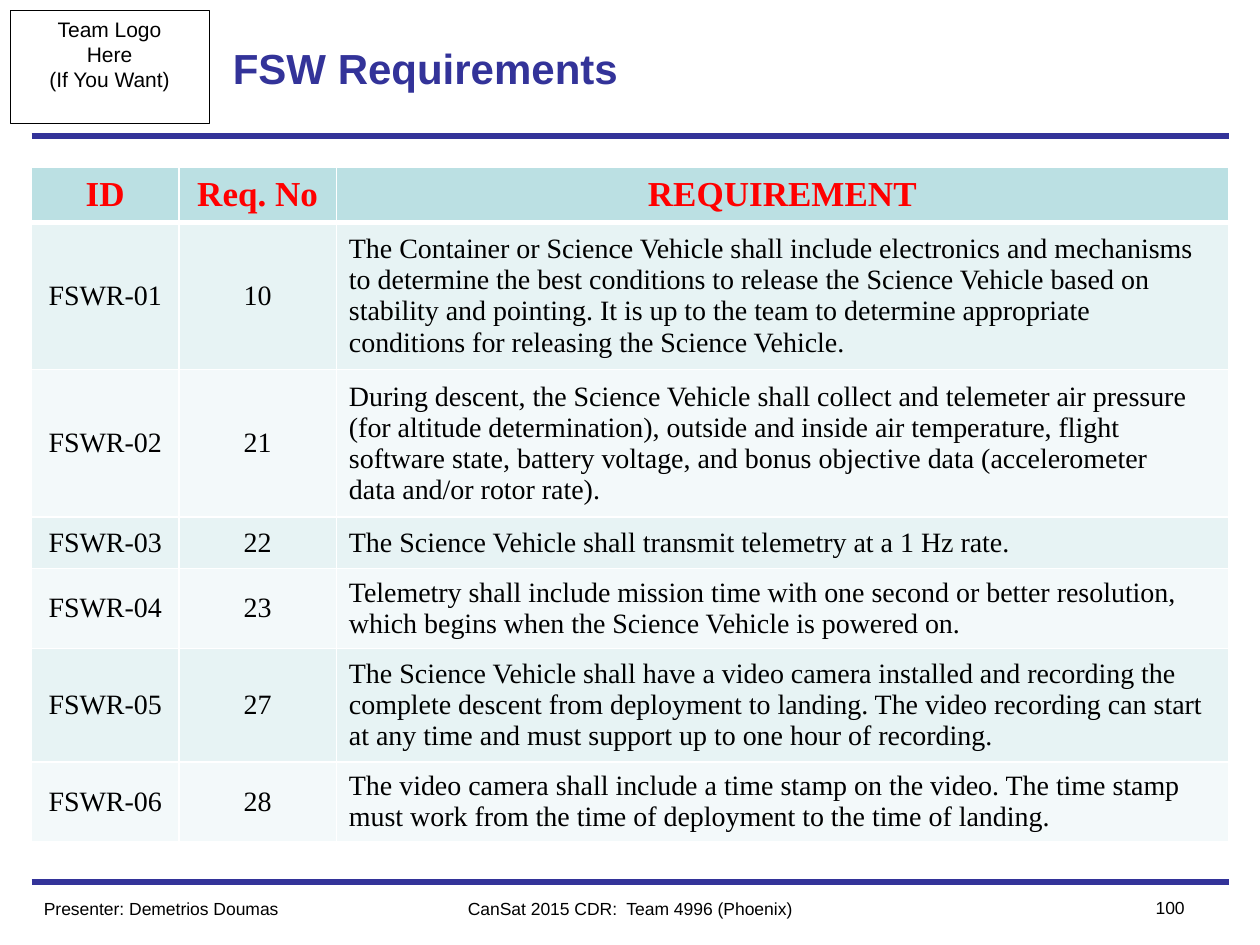
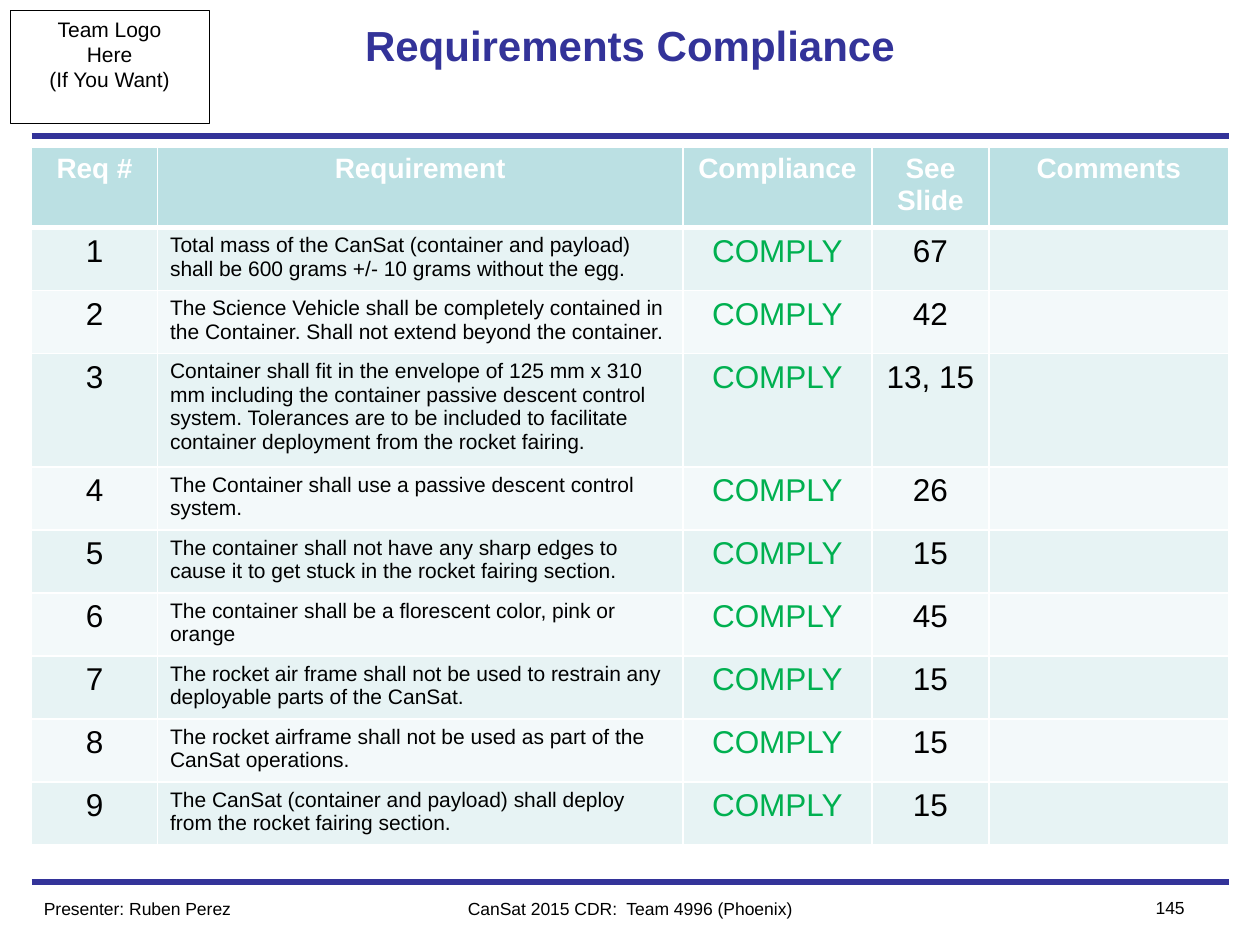
from lxml import etree
from pptx import Presentation
from pptx.dml.color import RGBColor
from pptx.enum import shapes, text
from pptx.oxml.ns import qn
from pptx.util import Inches, Pt

COLORS = {
    "navy": "333399", "black": "000000", "white": "FFFFFF", "red": "FF0000",
    "green": "00B050", "header": "BBE0E3", "odd": "E7F3F4", "even": "F3F9FA",
}
LEFT, WIDTH = 0.25, 9.5
CENTER, RIGHT = text.PP_ALIGN.CENTER, text.PP_ALIGN.RIGHT
MIDDLE, TOP = text.MSO_ANCHOR.MIDDLE, text.MSO_ANCHOR.TOP

FSW_ROWS = [
    ("FSWR-01", "10",
     "The Container or Science Vehicle shall include electronics and mechanisms\n"
     "to determine the best conditions to release the Science Vehicle based on\n"
     "stability and pointing. It is up to the team to determine appropriate\n"
     "conditions for releasing the Science Vehicle."),
    ("FSWR-02", "21",
     "During descent, the Science Vehicle shall collect and telemeter air pressure\n"
     "(for altitude determination), outside and inside air temperature, flight\n"
     "software state, battery voltage, and bonus objective data (accelerometer\n"
     "data and/or rotor rate)."),
    ("FSWR-03", "22",
     "The Science Vehicle shall transmit telemetry at a 1 Hz rate."),
    ("FSWR-04", "23",
     "Telemetry shall include mission time with one second or better resolution,\n"
     "which begins when the Science Vehicle is powered on."),
    ("FSWR-05", "27",
     "The Science Vehicle shall have a video camera installed and recording the\n"
     "complete descent from deployment to landing. The video recording can start\n"
     "at any time and must support up to one hour of recording."),
    ("FSWR-06", "28",
     "The video camera shall include a time stamp on the video. The time stamp\n"
     "must work from the time of deployment to the time of landing."),
]

# Requirement and the slides that show compliance
COMPLIANCE = [
    ("Total mass of the CanSat (container and payload) shall be 600 grams "
     "+/- 10 grams without the egg.", "67"),
    ("The Science Vehicle shall be completely contained in the Container. "
     "Shall not extend beyond the container.", "42"),
    ("Container shall fit in the envelope of 125 mm x 310 mm including the "
     "container passive descent control system. Tolerances are to be included "
     "to facilitate container deployment from the rocket fairing.", "13, 15"),
    ("The Container shall use a passive descent control system.", "26"),
    ("The container shall not have any sharp edges to cause it to get stuck "
     "in the rocket fairing section.", "15"),
    ("The container shall be a florescent color, pink or orange", "45"),
    ("The rocket air frame shall not be used to restrain any deployable parts "
     "of the CanSat.", "15"),
    ("The rocket airframe shall not be used as part of the CanSat operations.",
     "15"),
    ("The CanSat (container and payload) shall deploy from the rocket fairing "
     "section.", "15"),
]


def rgb(name):
    return RGBColor.from_string(COLORS[name])


def write(tf, content, size=10, color="black", font="Arial", bold=False,
          align=None, anchor=TOP, wrap=True):
    """Fill a text frame, one paragraph per line of content."""
    tf.word_wrap = wrap
    tf.vertical_anchor = anchor
    for i, line in enumerate(content.split("\n")):
        p = tf.paragraphs[0] if i == 0 else tf.add_paragraph()
        p.alignment = align
        r = p.add_run()
        r.text = line
        r.font.name, r.font.size, r.font.bold = font, Pt(size), bold
        r.font.color.rgb = rgb(color)


def add_text(slide, box, content, **fmt):
    sp = slide.shapes.add_textbox(*map(Inches, box))
    write(sp.text_frame, content, **fmt)


def add_rule(slide, y):
    line = slide.shapes.add_connector(
        shapes.MSO_CONNECTOR.STRAIGHT, Inches(LEFT), Inches(y),
        Inches(LEFT + WIDTH), Inches(y))
    line.line.color.rgb = rgb("navy")
    line.line.width = Pt(3)
    etree.SubElement(line._element.spPr, qn("a:effectLst"))


def add_logo_box(slide, box):
    sp = slide.shapes.add_shape(shapes.MSO_SHAPE.RECTANGLE, *map(Inches, box))
    sp.shadow.inherit = False
    sp.fill.background()
    sp.line.color.rgb = rgb("black")
    sp.line.width = Pt(0.5)
    write(sp.text_frame, "Team Logo\nHere\n(If You Want)", size=12,
          align=CENTER, wrap=False)


def add_frame(prs, title, title_box, presenter, number, align=None):
    """Start a slide with its rules, logo box, title and footer."""
    slide = prs.slides.add_slide(prs.slide_layouts[6])
    add_rule(slide, 7)
    add_rule(slide, 1.08)
    add_logo_box(slide, (0.08, 0.08, 1.58, 0.9))
    add_text(slide, title_box, title, size=24, color="navy", bold=True,
             align=align, anchor=MIDDLE)
    # Footer
    add_text(slide, (3, 7.08, 4, 0.27), "CanSat 2015 CDR:  Team 4996 (Phoenix)",
             align=CENTER)
    add_text(slide, (8.75, 7.07, 0.75, 0.27), number, align=RIGHT)
    add_text(slide, (LEFT, 7.08, 2.5, 0.27), f"Presenter: {presenter}")
    return slide


def set_borders(cell, top, bottom):
    tc_pr = cell._tc.get_or_add_tcPr()
    for tag, points in (("lnL", 1), ("lnR", 1), ("lnT", top), ("lnB", bottom)):
        ln = etree.SubElement(tc_pr, qn(f"a:{tag}"), w=str(Pt(points)))
        fill = etree.SubElement(ln, qn("a:solidFill"))
        etree.SubElement(fill, qn("a:srgbClr"), val=COLORS["white"])


def add_grid(slide, top, widths, heights, header, rows, header_fmt, column_fmts):
    """Banded table: one format for the header, one for each body column."""
    frame = slide.shapes.add_table(
        len(heights), len(widths), Inches(LEFT), Inches(top),
        Inches(sum(widths)), Inches(sum(heights)))
    table = frame.table
    table.horz_banding = False
    for column, width in zip(table.columns, widths):
        column.width = Inches(width)
    for i, (height, values) in enumerate(zip(heights, [header, *rows])):
        table.rows[i].height = Inches(height)
        band = "header" if i == 0 else "odd" if i % 2 else "even"
        for j, value in enumerate(values):
            cell = table.cell(i, j)
            set_borders(cell, top=3 if i == 1 else 1, bottom=3 if i == 0 else 1)
            cell.fill.solid()
            cell.fill.fore_color.rgb = rgb(band)
            if value:
                fmt = column_fmts[j] if i else header_fmt
                write(cell.text_frame, value, **fmt)
                cell.vertical_anchor = fmt.get("anchor", TOP)


def fsw_slide(prs):
    slide = add_frame(prs, "FSW Requirements", (1.75, 0.08, 6.5, 0.92),
                      "Demetrios Doumas", "100")
    body = dict(size=16, font="Times New Roman", anchor=MIDDLE)
    centered = dict(body, align=CENTER)
    add_grid(slide, 1.33, [1.17, 1.25, 7.08],
             [0.43, 1.17, 1.17, 0.41, 0.63, 0.9, 0.63],
             ("ID", "Req. No", "REQUIREMENT"), FSW_ROWS,
             dict(centered, size=20, color="red", bold=True),
             [centered, centered, body])


def compliance_slide(prs):
    slide = add_frame(prs, "Requirements Compliance", (1.75, 0.08, 6.5, 0.55),
                      "Ruben Perez", "145", align=CENTER)
    rows = [(str(n), requirement, "COMPLY", pages, "")
            for n, (requirement, pages) in enumerate(COMPLIANCE, 1)]
    heights = [0.62] + [0.5] * len(rows)
    heights[3] = 0.9  # four-line requirement
    body = dict(size=18, align=CENTER)
    add_grid(slide, 1.17, [1, 4.17, 1.5, 0.93, 1.9], heights,
             ("Req #", "Requirement", "Compliance", "See Slide", "Comments"),
             rows, dict(size=16, color="white", bold=True, align=CENTER),
             [body, dict(size=12), dict(body, color="green"), body, body])


def main():
    prs = Presentation()
    prs.slide_width, prs.slide_height = Inches(10), Inches(7.5)
    fsw_slide(prs)
    compliance_slide(prs)
    prs.save("out.pptx")


if __name__ == "__main__":
    main()
